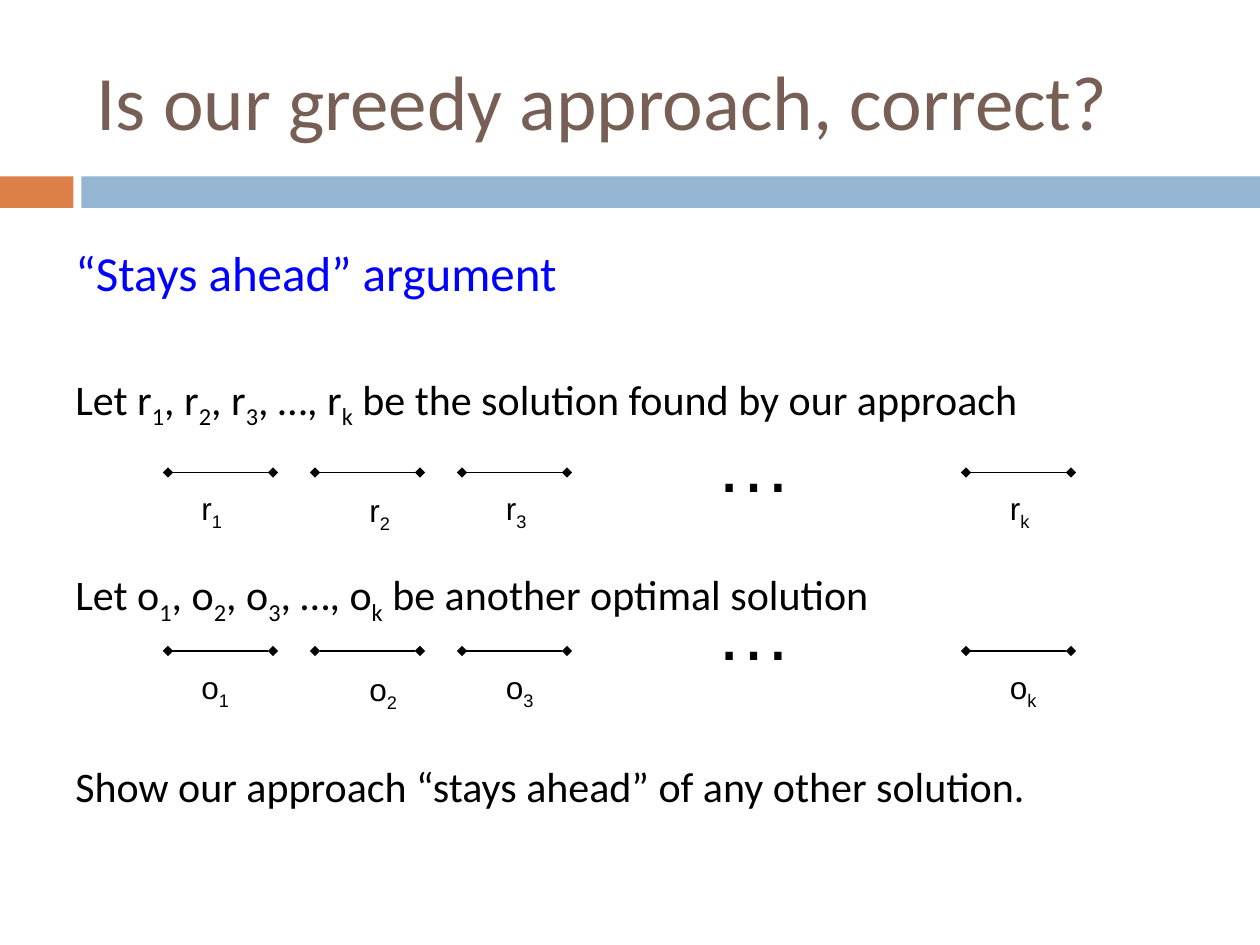
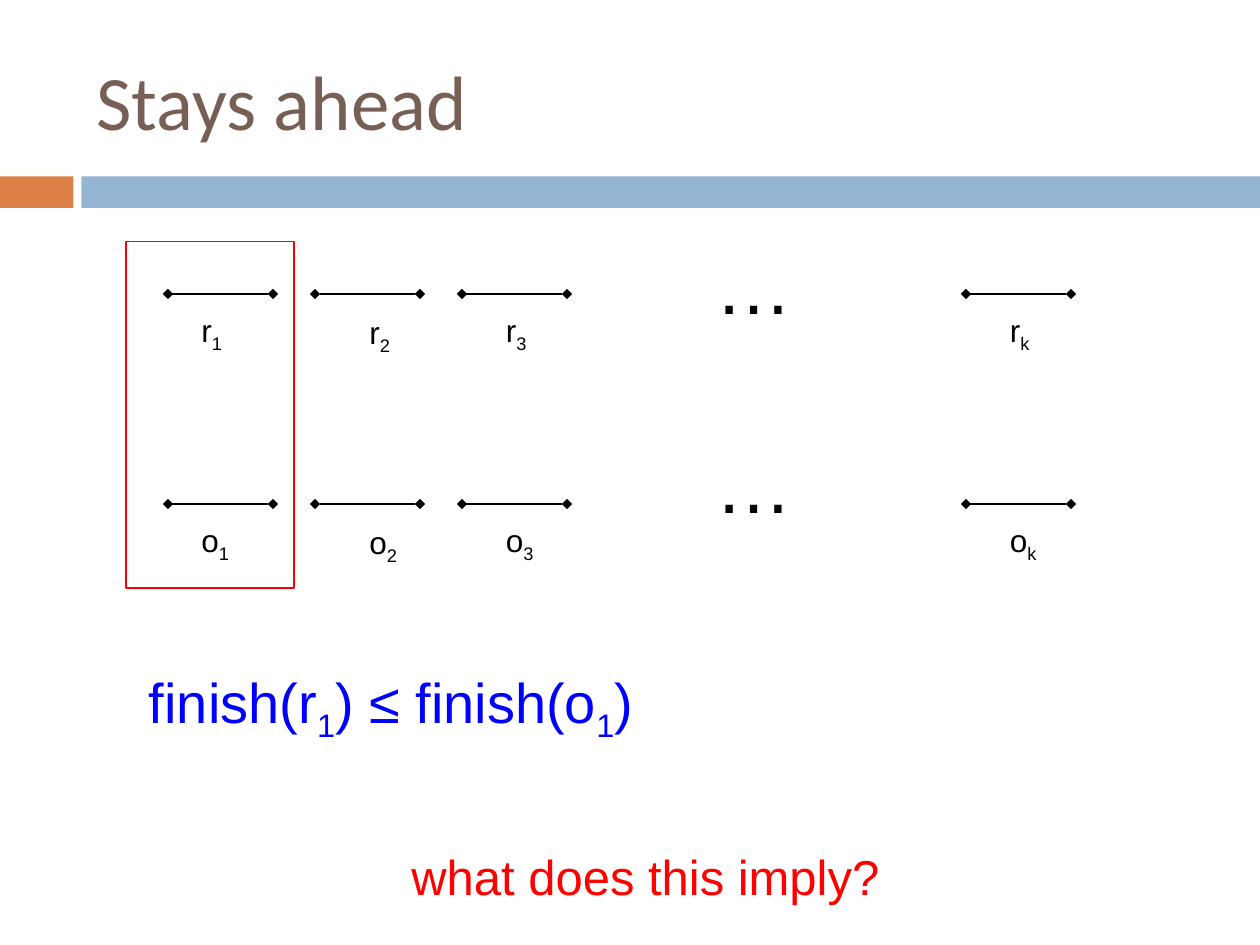
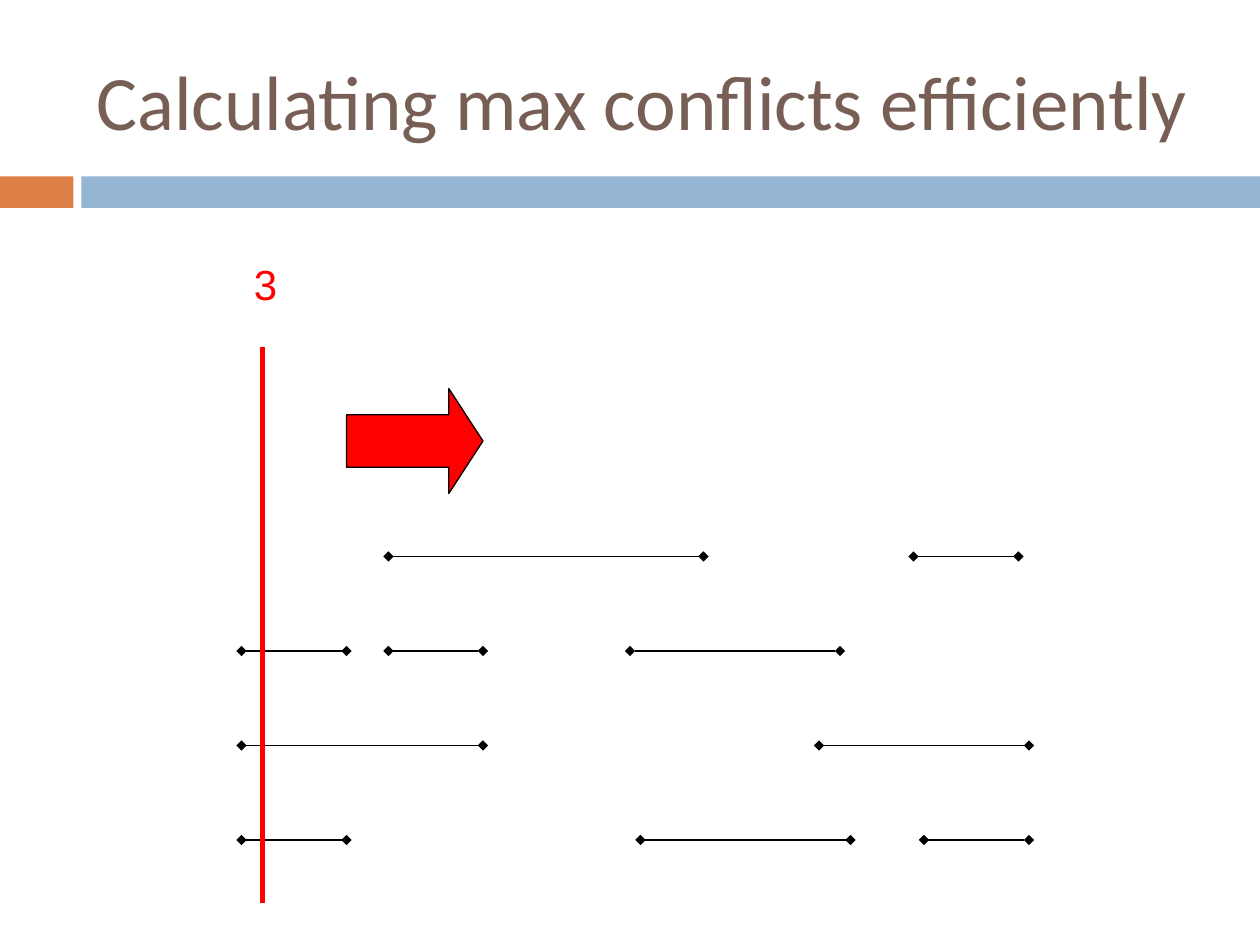
from lxml import etree
from pptx import Presentation
from pptx.dml.color import RGBColor
from pptx.enum import shapes, text
from pptx.oxml import ns
from pptx.util import Pt

HUES = {"title": "775F55", "tab": "DD8047", "band": "94B6D2",
        "ink": "000000", "blue": "0000FF", "red": "FF0000"}
HUES = {name: RGBColor.from_string(code) for name, code in HUES.items()}
BOX = shapes.MSO_SHAPE.RECTANGLE


def write(slide, box, lines, size, hue="ink", face="Arial", mid=False):
    """Add a text box; each line is (words, size, hue, space before) or plain
    words, and an underscore lowers the character after it."""
    frame = slide.shapes.add_textbox(*map(Pt, box)).text_frame
    frame.word_wrap = True
    if mid:
        frame.vertical_anchor = text.MSO_ANCHOR.MIDDLE
    if isinstance(lines, str):
        lines = [(lines, size, hue, 0)]
    for i, (words, size, hue, gap) in enumerate(lines):
        para = frame.add_paragraph() if i else frame.paragraphs[0]
        para.space_before = Pt(gap)
        first, *rest = words.split("_")
        parts = [(first, False)]
        for part in rest:
            parts += [(part[0], True), (part[1:], False)]
        for part, low in parts:
            if part:
                run = para.add_run()
                run.text = part
                run.font.name, run.font.size = face, Pt(size)
                run.font.color.rgb = HUES[hue]
                if low:
                    run._r.get_or_add_rPr().set("baseline", "-25000")


def rule(slide, x1, y1, x2, y2, hue="ink", width=0.75, tips=True):
    """Draw a line, with a diamond on both ends if it has tips."""
    line = slide.shapes.add_connector(shapes.MSO_CONNECTOR.STRAIGHT,
                                      *map(Pt, (x1, y1, x2, y2)))
    line.line.color.rgb, line.line.width = HUES[hue], Pt(width)
    if tips:
        for end in ("a:headEnd", "a:tailEnd"):
            etree.SubElement(line.line._get_or_add_ln(), ns.qn(end), type="diamond")
    etree.SubElement(line._element.spPr, ns.qn("a:effectLst"))


deck = Presentation()
deck.slide_width, deck.slide_height = Pt(720), Pt(540)

# Title and bands on every slide
pages = []
for title in ("Is our greedy approach, correct?", "Stays ahead",
              "Calculating max conflicts efficiently"):
    page = deck.slides.add_slide(deck.slide_layouts[6])
    for x, wide, hue in ((0, 42, "tab"), (46.5, 673.5, "band")):
        bar = page.shapes.add_shape(BOX, Pt(x), Pt(100.8), Pt(wide), Pt(18))
        bar.shadow.inherit = False
        bar.fill.solid()
        bar.fill.fore_color.rgb = HUES[hue]
        bar.line.fill.background()
    write(page, (48, 18, 642, 78), title, 44, "title", "Calibri", mid=True)
    pages.append(page)
greedy, ahead, sweep = pages

# The argument
write(greedy, (36, 135, 648, 381), [
    ("“Stays ahead” argument", 28, "blue", 0),
    ("Let r_1, r_2, r_3, …, r_k be the solution found by our approach", 24, "ink", 41),
    ("Let o_1, o_2, o_3, …, o_k be another optimal solution", 24, "ink", 79),
    ("Show our approach “stays ahead” of any other solution.", 24, "ink", 77),
], 24, face="Calibri")

# Both solutions as rows of intervals: start, label left, label drop, index
SPANS = ((96, 108, 6, "1"), (180, 204, 7.2, "2"), (264, 282, 6, "3"), (552, 570, 6, "k"))
for page, name, y, lift in ((greedy, "r", 270, 36), (greedy, "o", 372, 42),
                            (ahead, "r", 168, 36), (ahead, "o", 288, 42)):
    for x, left, drop, mark in SPANS:
        rule(page, x, y, x + 60, y)
        write(page, (left, y + drop, 36, 28.8), f"{name}_{mark}", 18)
    write(page, (402, y - lift, 78, 60), "…", 44)

# First pair compared
frame = ahead.shapes.add_shape(BOX, Pt(72), Pt(138), Pt(96), Pt(198))
frame.shadow.inherit = False
frame.fill.background()
frame.line.color.rgb, frame.line.width = HUES["red"], Pt(0.75)
write(ahead, (78, 378, 300, 45), "finish(r_1) ≤ finish(o_1)", 32, "blue")
write(ahead, (228, 480, 300, 41), "what does this imply?", 28, "red")

# Intervals row by row, crossed by the sweep line
ROWS = (((222, 402), (522, 582)),
        ((138, 198), (222, 276), (360, 480)),
        ((138, 276), (468, 588)),
        ((138, 198), (366, 486), (528, 588)))
for i, row in enumerate(ROWS):
    for start, stop in row:
        rule(sweep, start, 318 + 54 * i, stop, 318 + 54 * i)
rule(sweep, 150, 198, 150, 516, "red", 3, tips=False)
write(sweep, (138, 144, 54, 36), "3", 24, "red")
arrow = sweep.shapes.add_shape(shapes.MSO_SHAPE.RIGHT_ARROW,
                               Pt(198), Pt(222), Pt(78), Pt(60))
arrow.adjustments[0], arrow.adjustments[1] = 0.5, 0.325
arrow.shadow.inherit = False
arrow.fill.solid()
arrow.fill.fore_color.rgb = HUES["red"]
arrow.line.color.rgb, arrow.line.width = HUES["ink"], Pt(0.75)

deck.save("out.pptx")
